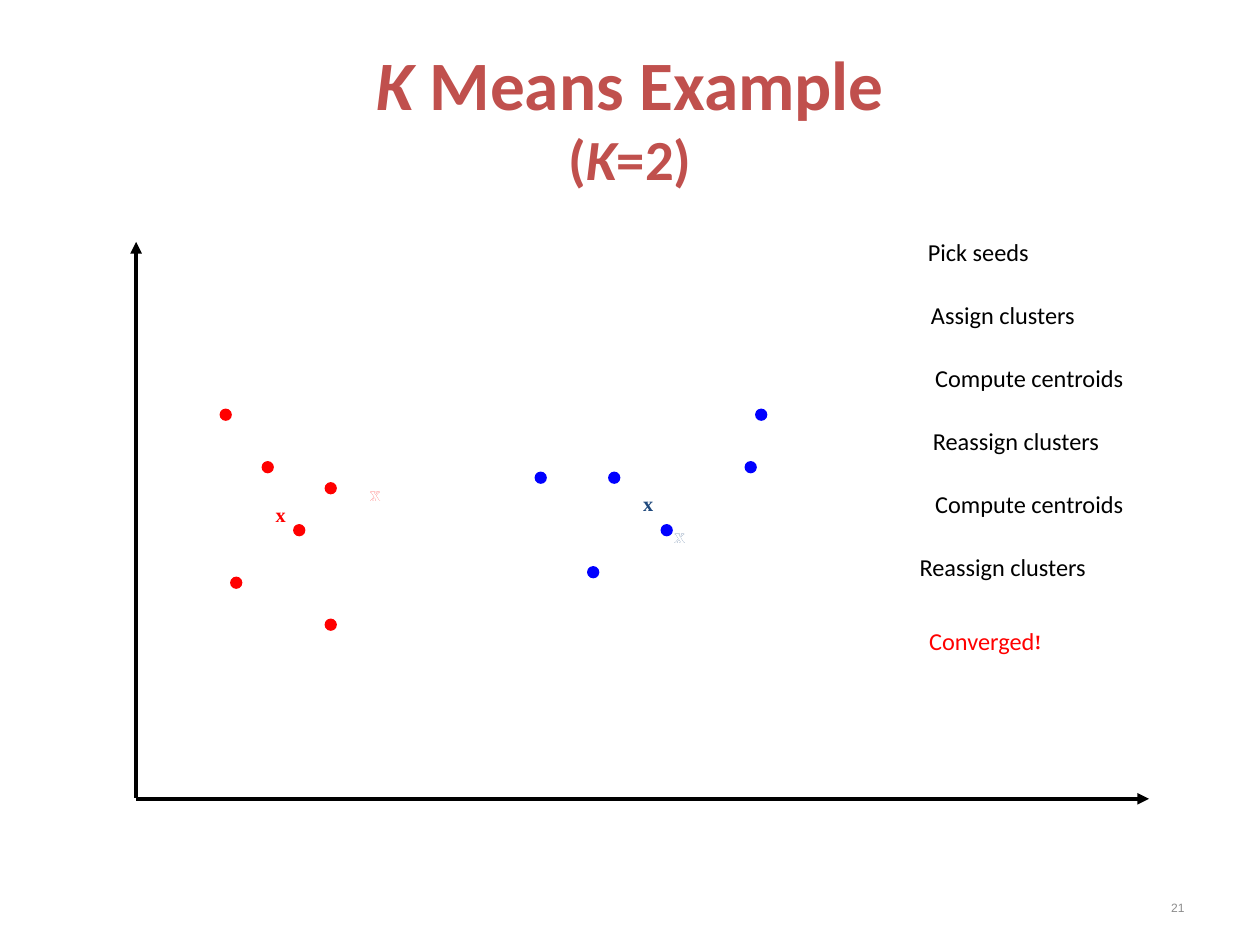
from lxml import etree
from pptx import Presentation, util as u
from pptx.dml.color import RGBColor
from pptx.enum import shapes, text
from pptx.oxml.ns import qn

THEME = {
    "title": dict(name="Calibri", size=39.6, color="C0504D", bold=True),
    "subtitle": dict(name="Calibri", size=32.4, color="C0504D", bold=True),
    "step": dict(name="Calibri", size=24, color="000000", baseline=-25),
    "end": dict(name="Calibri", size=24, color="FF0000", baseline=-25),
    "mark": dict(name="Times New Roman", size=20, bold=True, baseline=-25),
    "number": dict(name="Arial", size=12, color="8C8C8C", baseline=-25),
    "red": "FF0000", "blue": "0000FF", "navy": "1F497D",
    "faded": "FFFFFF", "axis": "000000",
}
CENTER, LEFT, RIGHT = text.PP_ALIGN.CENTER, text.PP_ALIGN.LEFT, text.PP_ALIGN.RIGHT

# Points and centroids are (column, row) on a grid of twelfths of an inch
GRID = 1 / 12
POINTS = {
    "red": [(21, 39), (25, 44), (31, 46), (28, 50), (31, 59), (22, 55)],
    "blue": [(63, 50), (56, 54), (71, 44), (58, 45), (72, 39), (51, 45)],
}
CENTROIDS = [  # former ones are drawn in colour, then faded out
    ("red", 34, 43), ("navy", 63, 47), ("faded", 63, 47), ("faded", 34, 43),
    ("navy", 60, 44), ("red", 25, 45),
]
STEPS = [  # wording, box width, alignment
    ("Pick seeds", 1.13, CENTER),
    ("Assign clusters", 1.52, CENTER),
    ("Compute centroids", 1.94, CENTER),
    ("Reassign clusters", 1.73, CENTER),
    ("Compute centroids", 1.94, CENTER),
    ("Reassign clusters", 1.73, LEFT),
]
STEP_LEFT, STEP_TOP, STEP_PITCH, STEP_HEIGHT = 7.2, 1.61, 0.5, 0.37
AXES = [((1.08, 6.33), (1.08, 1.92)), ((1.08, 6.34), (9.12, 6.34))]


def inches(*values):
    return [u.Inches(value) for value in values]


def add_run(paragraph, wording, style, **changes):
    run = paragraph.add_run()
    run.text = wording
    values = {**style, **changes}
    run.font.color.rgb = RGBColor.from_string(values.pop("color"))
    values["size"] = u.Pt(values["size"])
    baseline = values.pop("baseline", 0)
    if baseline:
        run.font._element.set("baseline", str(baseline * 1000))
    for name, value in values.items():
        setattr(run.font, name, value)


def add_text(slide, box, align, wrap=False, anchor=text.MSO_ANCHOR.TOP, space_before=45):
    """Add an empty text box and return its paragraph."""
    frame = slide.shapes.add_textbox(*inches(*box)).text_frame
    frame.word_wrap = wrap
    frame.vertical_anchor = anchor
    if not wrap:
        frame.auto_size = text.MSO_AUTO_SIZE.SHAPE_TO_FIT_TEXT
    paragraph = frame.paragraphs[0]
    paragraph.alignment = align
    if space_before:
        spacing = etree.SubElement(paragraph._p.get_or_add_pPr(), qn("a:spcBef"))
        etree.SubElement(spacing, qn("a:spcPct")).set("val", str(space_before * 1000))
    return paragraph


def add_title(slide):
    paragraph = add_text(slide, (0.5, 0.3, 9, 1.25), CENTER, wrap=True,
                         anchor=text.MSO_ANCHOR.MIDDLE, space_before=0)
    title, subtitle = THEME["title"], THEME["subtitle"]
    add_run(paragraph, "K", title, italic=True)
    add_run(paragraph, " Means Example", title)
    paragraph.add_line_break()
    add_run(paragraph, "(", subtitle)
    add_run(paragraph, "K", subtitle, italic=True)
    add_run(paragraph, "=2)", subtitle)


def add_axis(slide, start, end):
    axis = slide.shapes.add_connector(shapes.MSO_CONNECTOR.STRAIGHT, *inches(*start, *end))
    axis.line.width = u.Pt(2.25)
    axis.line.color.rgb = RGBColor.from_string(THEME["axis"])
    etree.SubElement(axis.line._get_or_add_ln(), qn("a:tailEnd")).set("type", "triangle")
    etree.SubElement(axis._element.spPr, qn("a:effectLst"))


def add_point(slide, column, row, color):
    point = slide.shapes.add_shape(
        shapes.MSO_SHAPE.OVAL, *inches(column * GRID, row * GRID, GRID, GRID))
    point.shadow.inherit = False
    point.fill.solid()
    for part in (point.fill.fore_color, point.line.color):
        part.rgb = RGBColor.from_string(color)
    point.line.width = u.Pt(1)


def main():
    presentation = Presentation()
    presentation.slide_width, presentation.slide_height = inches(10, 7.5)
    slide = presentation.slides.add_slide(presentation.slide_layouts[6])

    add_title(slide)
    for start, end in AXES:
        add_axis(slide, start, end)
    for color, places in POINTS.items():
        for column, row in places:
            add_point(slide, column, row, THEME[color])
    for color, column, row in CENTROIDS:
        paragraph = add_text(slide, (column * GRID, row * GRID, 0.29, 0.33), CENTER)
        add_run(paragraph, "x", THEME["mark"], color=THEME[color])
    for index, (wording, width, align) in enumerate(STEPS):
        top = STEP_TOP + index * STEP_PITCH
        paragraph = add_text(slide, (STEP_LEFT, top, width, STEP_HEIGHT), align)
        add_run(paragraph, wording, THEME["step"])

    paragraph = add_text(slide, (STEP_LEFT, 4.7, 1.24, STEP_HEIGHT), CENTER)
    add_run(paragraph, "Converged", THEME["end"])
    add_run(paragraph, "!", THEME["mark"], color=THEME["red"])
    paragraph = add_text(slide, (7.17, 6.95, 2.33, 0.4), RIGHT, wrap=True,
                         anchor=text.MSO_ANCHOR.MIDDLE)
    add_run(paragraph, "21", THEME["number"])
    presentation.save("out.pptx")


if __name__ == "__main__":
    main()
